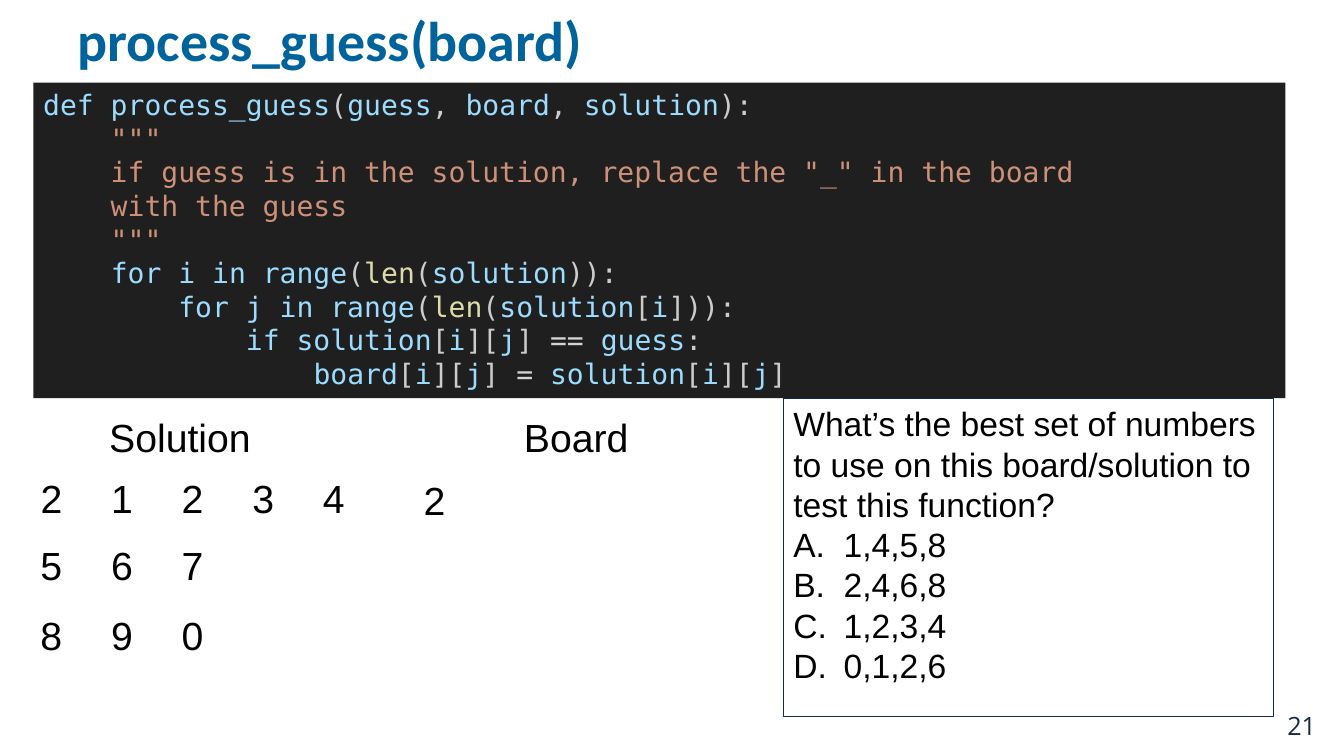
from itertools import groupby

from lxml import etree
from pptx import Presentation
from pptx import util as u
from pptx.dml.color import RGBColor
from pptx.enum import shapes, text
from pptx.oxml import ns

CODE = '''def process_guess(guess, board, solution):
    """
    if guess is in the solution, replace the "_" in the board
    with the guess
    """
    for i in range(len(solution)):
        for j in range(len(solution[i])):
            if solution[i][j] == guess:
                board[i][j] = solution[i][j]'''
QUESTION = "What’s the best set of numbers to use on this board/solution to test this function?"
ANSWERS = ["1,4,5,8", "2,4,6,8", "1,2,3,4", "0,1,2,6"]

DOCSTRING, PUNCTUATION, OPERATOR, VARIABLE = "CE9178", "CCCCCC", "D4D4D4", "9CDCFE"
WORD_COLOURS = {
    "def": "569CD6", "process_guess": "DCDCAA", "len": "DCDCAA", "range": "4EC9B0",
    "for": "C586C0", "in": "C586C0", "if": "C586C0",
}
NAVY = "162A46"


def colour(value):
    """Turn a hex string into a colour."""
    return RGBColor.from_string(value)


def code_runs(line):
    """Split a code line into coloured runs, each keeping its trailing space."""
    kinds, kind = [], PUNCTUATION
    for letter in line:
        if letter.isalnum() or letter == "_":
            kind = VARIABLE
        elif letter != " ":
            kind = OPERATOR if letter == "=" else PUNCTUATION
        kinds.append((kind, letter))
    for kind, group in groupby(kinds, key=lambda pair: pair[0]):
        run = "".join(letter for _, letter in group)
        yield run, WORD_COLOURS.get(run.strip(), kind)


class Deck:
    """Hold the style and the current slide."""

    def __init__(self, width, height):
        """Start a presentation with one blank slide."""
        self.presentation = Presentation()
        self.presentation.slide_width = u.Inches(width)
        self.presentation.slide_height = u.Inches(height)
        self.slide = self.presentation.slides.add_slide(self.presentation.slide_layouts[6])
        self.font, self.size, self.ink = "Arial", 28, "000000"

    def run(self, paragraph, content, size=None, ink=None, font=None, bold=False):
        """Add one styled run."""
        run = paragraph.add_run()
        run.text = content
        run.font.name = font or self.font
        run.font.size = u.Pt(size or self.size)
        run.font.color.rgb = colour(ink or self.ink)
        run.font.bold = bold

    def label(self, box, content, centred=False, middle=False, **style):
        """Add a text box with one line."""
        frame = self.slide.shapes.add_textbox(*map(u.Inches, box)).text_frame
        frame.word_wrap = True
        frame.vertical_anchor = text.MSO_ANCHOR.MIDDLE if middle else text.MSO_ANCHOR.TOP
        paragraph = frame.paragraphs[0]
        paragraph.alignment = text.PP_ALIGN.CENTER if centred else text.PP_ALIGN.LEFT
        self.run(paragraph, content, **style)

    def panel(self, box, count, fill, line=None):
        """Add a filled rectangle and return its left-aligned paragraphs."""
        shape = self.slide.shapes.add_shape(shapes.MSO_SHAPE.RECTANGLE, *map(u.Inches, box))
        shape.shadow.inherit = False
        shape.fill.solid()
        shape.fill.fore_color.rgb = colour(fill)
        if line:
            shape.line.color.rgb = colour(line)
            shape.line.width = u.Pt(0.75)
        else:
            shape.line.fill.background()
        frame = shape.text_frame
        frame.word_wrap = True
        frame.vertical_anchor = text.MSO_ANCHOR.TOP
        for _ in range(count - 1):
            frame.add_paragraph()
        for paragraph in frame.paragraphs:
            paragraph.alignment = text.PP_ALIGN.LEFT
        return frame.paragraphs

    def code(self, box, source):
        """Add a dark panel of highlighted code."""
        lines = source.split("\n")
        in_docstring = False
        for paragraph, line in zip(self.panel(box, len(lines), "1F1F1F"), lines):
            paragraph.line_spacing = u.Pt(24)
            quotes = '"""' in line
            runs = [(line, DOCSTRING)] if quotes or in_docstring else code_runs(line)
            in_docstring ^= quotes
            for content, ink in runs:
                self.run(paragraph, content, 20, ink, "DejaVu Sans Mono")

    def question(self, box, prompt, answers):
        """Add a framed question with lettered answers."""
        first, *rest = self.panel(box, len(answers) + 1, "FFFFFF", NAVY)
        self.run(first, prompt, 24)
        for paragraph, answer in zip(rest, answers):
            properties = paragraph._p.get_or_add_pPr()
            properties.set("marL", str(u.Inches(0.5)))
            properties.set("indent", str(u.Inches(-0.5)))
            bullet_colour = etree.SubElement(properties, ns.qn("a:buClr"))
            etree.SubElement(bullet_colour, ns.qn("a:srgbClr"), val=self.ink)
            etree.SubElement(properties, ns.qn("a:buAutoNum"), type="alphaUcPeriod")
            self.run(paragraph, answer, 24)

    def grid(self, left, top, row_height, rows, cell_width=0.7):
        """Add a plain table with one character to a cell."""
        columns = len(rows[0])
        box = left, top, cell_width * columns, row_height * len(rows)
        table = self.slide.shapes.add_table(len(rows), columns, *map(u.Inches, box)).table
        table.first_row = table.horz_banding = False
        for row, values in enumerate(rows):
            for column, value in enumerate(values):
                cell = table.cell(row, column)
                cell.fill.background()
                cell.vertical_anchor = text.MSO_ANCHOR.MIDDLE
                paragraph = cell.text_frame.paragraphs[0]
                paragraph.alignment = text.PP_ALIGN.CENTER
                if value.strip():
                    self.run(paragraph, value)


def main():
    """Build the slide and save it."""
    deck = Deck(13.33, 7.5)
    deck.label((12.67, 7, 0.5, 0.4), "21", size=18, ink=NAVY, font="Open Sans")
    deck.label((0.67, 0.06, 12.42, 0.65), "process_guess(board)", middle=True,
               size=40, ink="01639C", font="Calibri", bold=True)
    deck.code((0.33, 0.82, 12.42, 3.13), CODE)
    deck.label((0.28, 4.05, 3.01, 0.57), "Solution", centred=True)
    deck.grid(0.16, 4.63, 0.65, ["21234"])
    deck.grid(0.16, 5.28, 0.69, ["567", "890"])
    deck.grid(3.96, 4.63, 0.7, ["2    "])
    deck.grid(3.96, 5.32, 0.69, ["   ", "   "])
    deck.label((4.21, 4.05, 3.01, 0.57), "Board", centred=True)
    deck.question((7.77, 3.95, 4.86, 3.16), QUESTION, ANSWERS)
    deck.presentation.save("out.pptx")


if __name__ == "__main__":
    main()
